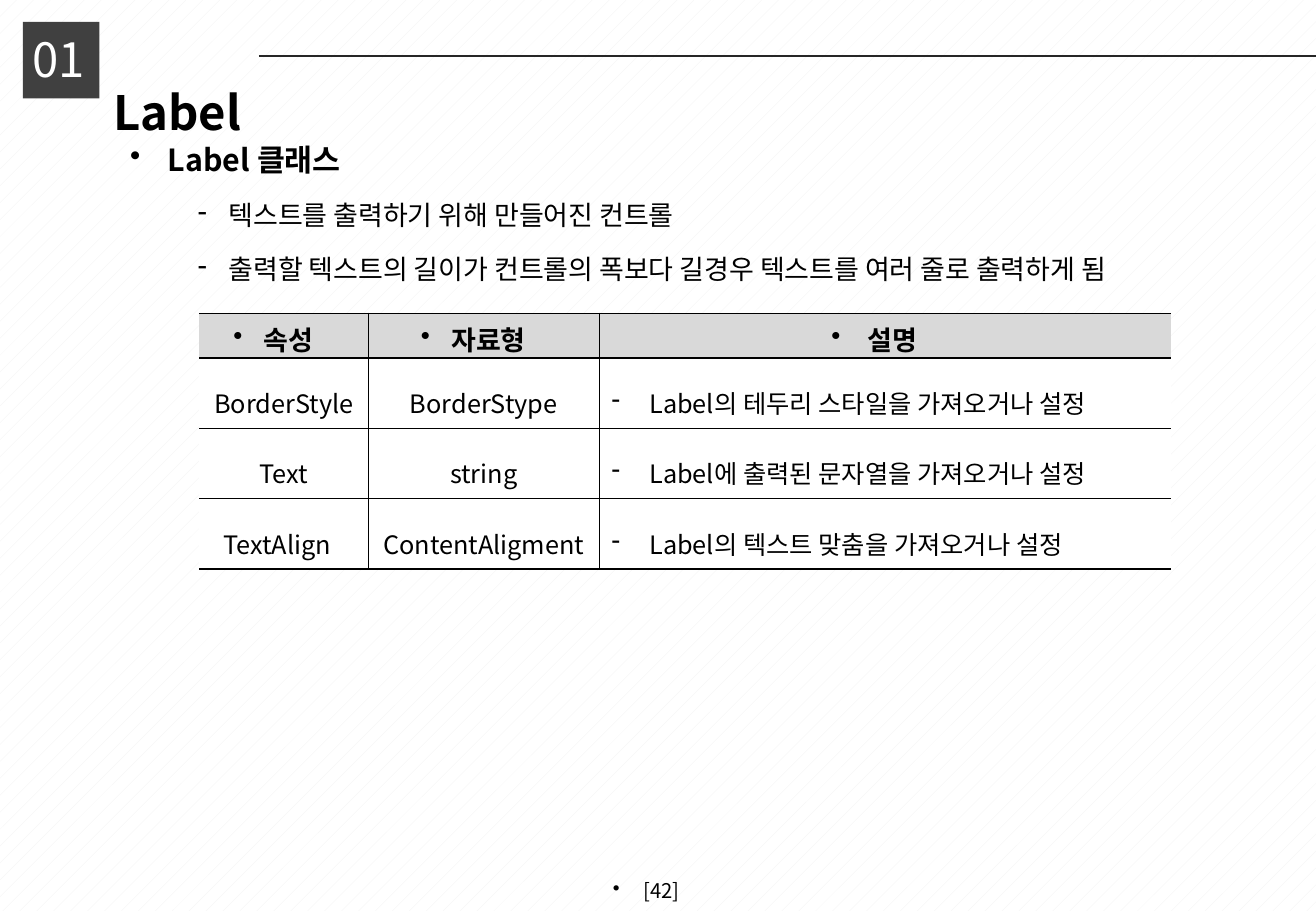
"""Build the slide that introduces the Label class and its properties."""
from dataclasses import dataclass

from lxml.etree import SubElement
from pptx import Presentation
from pptx.dml.color import RGBColor
from pptx.enum.dml import MSO_PATTERN
from pptx.enum.shapes import MSO_CONNECTOR, MSO_SHAPE
from pptx.enum.text import MSO_ANCHOR, PP_ALIGN
from pptx.oxml.ns import qn
from pptx.slide import Slide
from pptx.table import _Cell
from pptx.text.text import TextFrame, _Paragraph
from pptx.util import Cm, Length, Pt


@dataclass(frozen=True)
class Theme:
    font: str = "Noto Sans CJK KR"
    ink: str = "000000"
    paper: str = "FFFFFF"
    stripe: str = "F2F2F2"
    square: str = "404040"
    rule: str = "262626"
    header: str = "D9D9D9"
    title_size: int = 28
    topic_size: int = 18
    point_size: int = 16
    cell_size: int = 15
    page_size: int = 12


@dataclass(frozen=True)
class Bullet:
    char: str
    margin: Length
    indent: Length


@dataclass(frozen=True)
class Property:
    name: str
    data_type: str
    description: str


THEME = Theme()
TOPIC = Bullet("•", Cm(1.91), Cm(-0.79))
POINT = Bullet("-", Cm(3.18), Cm(-0.64))
CENTRED = Bullet("•", Cm(0.13), Cm(-0.64))
DESCRIPTION = Bullet("-", Cm(0.79), Cm(-0.79))

POINTS = (
    "텍스트를 출력하기 위해 만들어진 컨트롤",
    "출력할 텍스트의 길이가 컨트롤의 폭보다 길경우 텍스트를 여러 줄로 출력하게 됨",
)
HEADINGS = ("속성", "자료형", " 설명")
PROPERTIES = (
    Property("BorderStyle", "BorderStype", "Label의 테두리 스타일을 가져오거나 설정"),
    Property("Text", "string", "Label에 출력된 문자열을 가져오거나 설정"),
    Property("TextAlign\t", "ContentAligment", "Label의 텍스트 맞춤을 가져오거나 설정"),
)
COLUMN_WIDTHS = (Cm(3.53), Cm(4.83), Cm(11.94))
HEADER_HEIGHT, ROW_HEIGHT = Cm(0.94), Cm(1.47)


def rgb(code: str) -> RGBColor:
    return RGBColor.from_string(code)


def write(paragraph: _Paragraph, text: str, *, size: int, color: str = THEME.ink,
          bold: bool = False, align: PP_ALIGN = PP_ALIGN.LEFT,
          bullet: Bullet | None = None, spacing: float = 1.0, before: float = 0) -> None:
    paragraph.alignment = align
    paragraph.line_spacing = spacing
    paragraph.space_before = Pt(before)
    if bullet:
        properties = paragraph._p.get_or_add_pPr()
        properties.set("marL", str(bullet.margin))
        properties.set("indent", str(bullet.indent))
        SubElement(properties, qn("a:buChar"), char=bullet.char)
    run = paragraph.add_run()
    run.text = text
    run.font.size = Pt(size)
    run.font.bold = bold
    run.font.color.rgb = rgb(color)
    run.font.name = THEME.font
    SubElement(run._r.get_or_add_rPr(), qn("a:ea"), typeface=THEME.font)


def add_text_frame(slide: Slide, left: Length, top: Length,
                   width: Length, height: Length) -> TextFrame:
    frame = slide.shapes.add_textbox(left, top, width, height).text_frame
    frame.word_wrap = True
    return frame


def add_heading(slide: Slide) -> None:
    square = slide.shapes.add_shape(MSO_SHAPE.RECTANGLE, Cm(0.48), Cm(0.46), Cm(1.6), Cm(1.6))
    square.shadow.inherit = False
    square.fill.solid()
    square.fill.fore_color.rgb = rgb(THEME.square)
    square.line.fill.background()

    number = add_text_frame(slide, Cm(0.38), Cm(0.51), Cm(1.65), Cm(1.45))
    write(number.paragraphs[0], "01", size=THEME.title_size, color=THEME.paper,
          align=PP_ALIGN.RIGHT)

    title = slide.shapes.title
    title.left, title.top, title.width, title.height = Cm(2.11), Cm(1.62), Cm(3.3), Cm(1.45)
    title.text_frame.vertical_anchor = MSO_ANCHOR.TOP
    title.text_frame.word_wrap = False
    write(title.text_frame.paragraphs[0], "Label", size=THEME.title_size, bold=True)

    rule = slide.shapes.add_connector(
        MSO_CONNECTOR.STRAIGHT, Cm(5.41), Cm(1.17), Cm(27.51), Cm(1.17))
    rule.line.color.rgb = rgb(THEME.rule)
    rule.line.width = Pt(1.5)
    SubElement(rule._element.spPr, qn("a:effectLst"))


def add_points(slide: Slide) -> None:
    body = add_text_frame(slide, Cm(1.35), Cm(2.82), Cm(24.41), Cm(14.71))
    write(body.paragraphs[0], "Label 클래스", size=THEME.topic_size, bold=True, bullet=TOPIC)
    for point in POINTS:
        write(body.add_paragraph(), point, size=THEME.point_size, bullet=POINT,
              spacing=1.5, before=3.2)


def set_borders(cell: _Cell, visible: dict[str, bool]) -> None:
    properties = cell._tc.get_or_add_tcPr()
    for position, (side, shown) in enumerate(visible.items()):
        line = SubElement(properties, qn(f"a:{side}"), w=str(Pt(1)))
        properties.insert(position, line)
        if shown:
            fill = SubElement(line, qn("a:solidFill"))
            SubElement(fill, qn("a:srgbClr"), val=THEME.ink)
        else:
            SubElement(line, qn("a:noFill"))


def add_properties(slide: Slide) -> None:
    rows = [HEADINGS] + [(p.name, p.data_type, p.description) for p in PROPERTIES]
    heights = [HEADER_HEIGHT] + [ROW_HEIGHT] * len(PROPERTIES)
    table = slide.shapes.add_table(
        len(rows), len(HEADINGS), Cm(4.17), Cm(6.55),
        Length(sum(COLUMN_WIDTHS)), Length(sum(heights))).table
    table.first_row = table.horz_banding = False
    for column, width in zip(table.columns, COLUMN_WIDTHS):
        column.width = width
    last = len(HEADINGS) - 1
    for row, (texts, height) in enumerate(zip(rows, heights)):
        table.rows[row].height = height
        for column, text in enumerate(texts):
            cell = table.cell(row, column)
            cell.vertical_anchor = MSO_ANCHOR.MIDDLE
            cell.fill.solid()
            cell.fill.fore_color.rgb = rgb(THEME.paper if row else THEME.header)
            set_borders(cell, {"lnL": column > 0, "lnR": column < last,
                               "lnT": True, "lnB": True})
            paragraph = cell.text_frame.paragraphs[0]
            if row == 0:
                write(paragraph, text, size=THEME.point_size, bold=True,
                      align=PP_ALIGN.CENTER, bullet=CENTRED)
            elif column == last:
                write(paragraph, text, size=THEME.cell_size, bullet=DESCRIPTION, spacing=1.5)
            else:
                write(paragraph, text, size=THEME.cell_size, align=PP_ALIGN.CENTER, spacing=1.5)


def main() -> None:
    deck = Presentation()
    deck.slide_width, deck.slide_height = Cm(27.51), Cm(19.05)
    slide = deck.slides.add_slide(deck.slide_layouts[5])
    background = slide.background.fill
    background.patterned()
    background.pattern = MSO_PATTERN.PERCENT_5
    background.fore_color.rgb = rgb(THEME.stripe)
    background.back_color.rgb = rgb(THEME.paper)
    add_heading(slide)
    add_points(slide)
    add_properties(slide)
    page = add_text_frame(slide, Cm(10.54), Cm(18.24), Cm(6.43), Cm(0.81))
    write(page.paragraphs[0], "[42]", size=THEME.page_size, align=PP_ALIGN.CENTER,
          bullet=CENTRED)
    deck.save("out.pptx")


if __name__ == "__main__":
    main()
